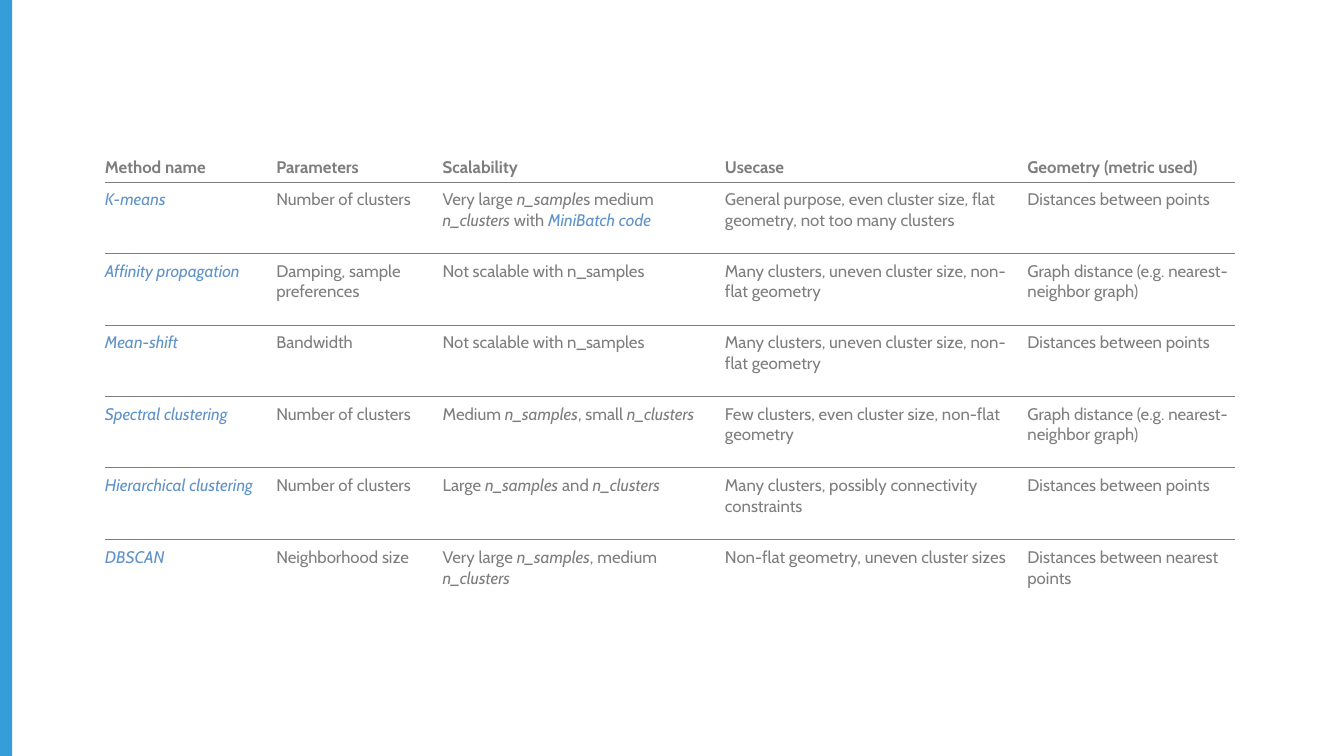
from lxml.etree import SubElement
from pptx import Presentation
from pptx.dml.color import RGBColor
from pptx.enum.shapes import MSO_CONNECTOR, MSO_SHAPE
from pptx.enum.text import MSO_ANCHOR
from pptx.oxml.ns import qn
from pptx.util import Inches, Pt

COLORS = {"bar": "359ED8", "text": "7F7E7E", "link": "6094C9"}
FONT = "Cabin"
NO_STYLE = "{2D5ABB26-0587-4C30-8999-92F81FD0307C}"
COLUMN_WIDTHS = (1.70, 1.65, 2.80, 3.00, 2.06)
HEADER_HEIGHT, ROW_HEIGHT = 0.32, 0.71
COLUMN_GAP, TOP_MARGIN, HEADER_BOTTOM = 0.06, 0.08, 0.04
FIRST_RULE, RULE_SPAN = 0.33, 3.54

HEADERS = ("Method name", "Parameters", "Scalability", "Usecase",
           "Geometry (metric used)")
# Asterisks enclose italics
METHODS = (
    ("*K-means*", "Number of clusters",
     "Very large *n_sample*s medium *n_clusters* with *MiniBatch code*",
     "General purpose, even cluster size, flat geometry, not too many clusters",
     "Distances between points"),
    ("*Affinity propagation*", "Damping, sample preferences",
     "Not scalable with n_samples",
     "Many clusters, uneven cluster size, non-flat geometry",
     "Graph distance (e.g. nearest-neighbor graph)"),
    ("*Mean-shift*", "Bandwidth", "Not scalable with n_samples",
     "Many clusters, uneven cluster size, non-flat geometry",
     "Distances between points"),
    ("*Spectral clustering*", "Number of clusters",
     "Medium *n_samples*, small *n_clusters*",
     "Few clusters, even cluster size, non-flat geometry",
     "Graph distance (e.g. nearest-neighbor graph)"),
    ("*Hierarchical clustering*", "Number of clusters",
     "Large *n_samples* and *n_clusters*",
     "Many clusters, possibly connectivity constraints",
     "Distances between points"),
    ("*DBSCAN*", "Neighborhood size",
     "Very large *n_samples*, medium *n_clusters*",
     "Non-flat geometry, uneven cluster sizes",
     "Distances between nearest points"),
)
LINKS = {method[0].strip("*") for method in METHODS} | {"MiniBatch code"}


def add_side_bar(slide, left, top, width, height):
    bar = slide.shapes.add_shape(MSO_SHAPE.RECTANGLE, left, top, width, height)
    bar.shadow.inherit = False
    bar.fill.solid()
    bar.fill.fore_color.rgb = RGBColor.from_string(COLORS["bar"])
    bar.line.fill.background()


def write_cell(cell, marked_text, bold):
    paragraph = cell.text_frame.paragraphs[0]
    for index, part in enumerate(marked_text.split("*")):
        if not part:
            continue
        run = paragraph.add_run()
        run.text = part
        font = run.font
        font.name, font.size = FONT, Pt(12)
        font.bold, font.italic = bold, index % 2 == 1
        color = COLORS["link" if part in LINKS else "text"]
        font.color.rgb = RGBColor.from_string(color)


def add_methods_table(slide, left, top, width, height):
    rows = (HEADERS, *METHODS)
    frame = slide.shapes.add_table(len(rows), len(HEADERS),
                                   left, top, width, height)
    table = frame.table
    table.first_row = table.horz_banding = False
    table_properties = table._tbl.tblPr
    style = table_properties.find(qn("a:tableStyleId"))
    if style is None:
        style = SubElement(table_properties, qn("a:tableStyleId"))
    style.text = NO_STYLE

    for column, share in zip(table.columns, COLUMN_WIDTHS):
        column.width = int(width * share / sum(COLUMN_WIDTHS))
    for row_index, texts in enumerate(rows):
        is_header = row_index == 0
        row = table.rows[row_index]
        row.height = Inches(HEADER_HEIGHT if is_header else ROW_HEIGHT)
        for column_index, (cell, text) in enumerate(zip(row.cells, texts)):
            is_last_column = column_index == len(texts) - 1
            cell.margin_left = 0
            cell.margin_right = 0 if is_last_column else Inches(COLUMN_GAP)
            cell.margin_top = 0 if is_header else Inches(TOP_MARGIN)
            cell.margin_bottom = Inches(HEADER_BOTTOM) if is_header else 0
            cell.vertical_anchor = (MSO_ANCHOR.BOTTOM if is_header
                                    else MSO_ANCHOR.TOP)
            cell.fill.background()
            write_cell(cell, text, bold=is_header)


def add_row_rules(slide, left, top, width, height):
    """Spread one rule above each method evenly over the box."""
    for index in range(len(METHODS)):
        y = top + int(height * index / (len(METHODS) - 1))
        rule = slide.shapes.add_connector(MSO_CONNECTOR.STRAIGHT,
                                          left, y, left + width, y)
        rule.line.width = Pt(0.75)
        rule.line.color.rgb = RGBColor.from_string(COLORS["text"])
        SubElement(rule._element.spPr, qn("a:effectLst"))


def main():
    deck = Presentation()
    deck.slide_width, deck.slide_height = Inches(13.33), Inches(7.5)
    slide = deck.slides.add_slide(deck.slide_layouts[6])
    left, top, width = Inches(1.04), Inches(1.48), Inches(sum(COLUMN_WIDTHS))
    add_side_bar(slide, 0, 0, Inches(0.12), deck.slide_height)
    add_methods_table(slide, left, top, width,
                      Inches(HEADER_HEIGHT + len(METHODS) * ROW_HEIGHT))
    add_row_rules(slide, left, top + Inches(FIRST_RULE), width,
                  Inches(RULE_SPAN))
    deck.save("out.pptx")


if __name__ == "__main__":
    main()
